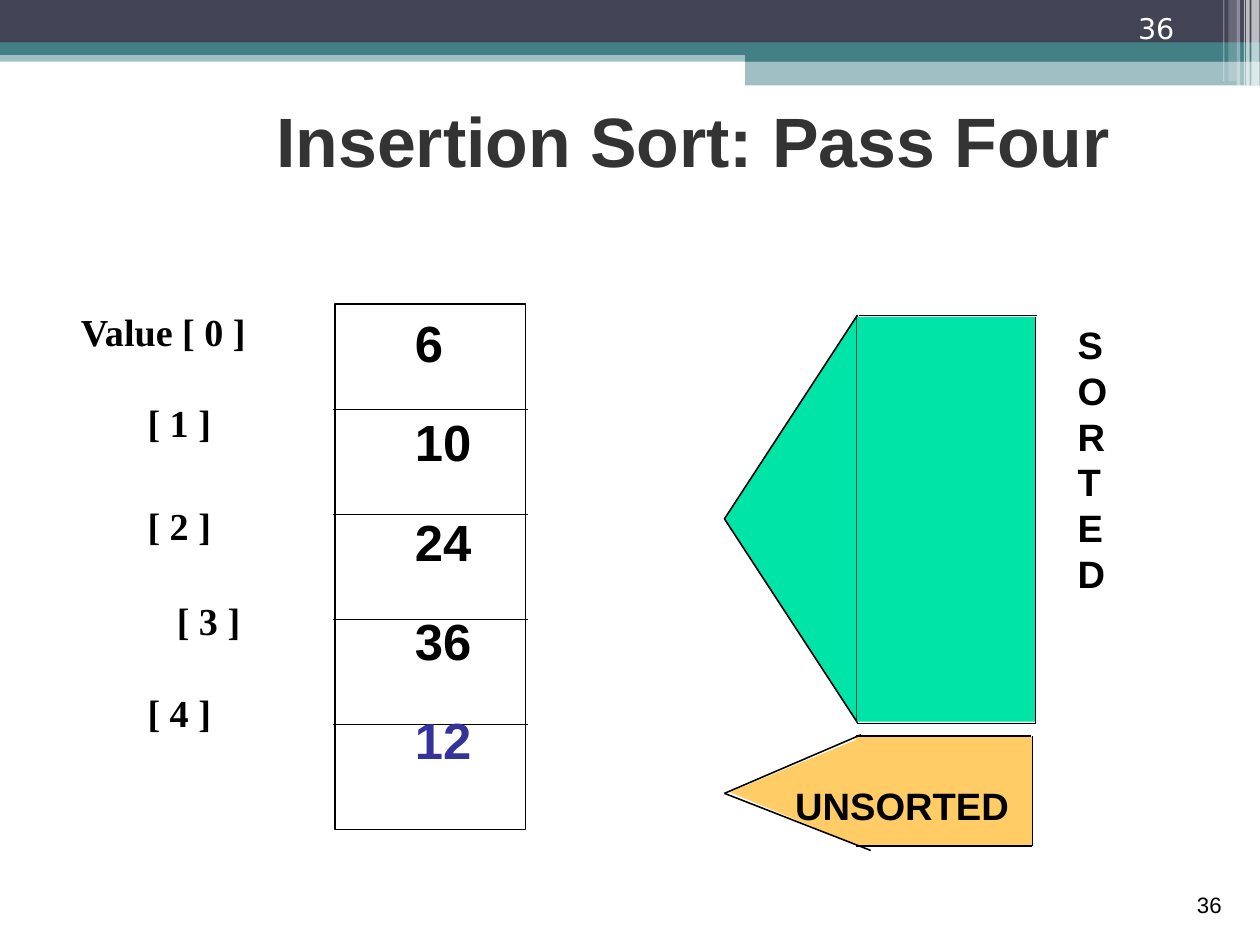
import pptx
import pptx.util
import pptx.dml.color
import pptx.enum.shapes
import pptx.enum.text
import pptx.oxml.ns
import lxml.etree

Cm, Pt = pptx.util.Cm, pptx.util.Pt
SHAPE = pptx.enum.shapes.MSO_SHAPE
ALIGN = pptx.enum.text.PP_ALIGN
ANCHOR = pptx.enum.text.MSO_ANCHOR
qn = pptx.oxml.ns.qn

THEME = {
    "ink": "000000", "title": "333333", "key": "333399", "white": "FFFFFF",
    "navy": "424456", "teal": "438086", "sorted": "00E4A8", "unsorted": "FFCC66",
    "sans": "Arial", "serif": "Times New Roman", "badge": "DejaVu Sans",
    "title_size": 44, "value_size": 32, "label_size": 24, "badge_size": 18,
    "number_size": 14, "line": 1, "leading": 1.2,
}

# Content: lengths in centimetres
TITLE = "Insertion Sort: Pass Four"
SLIDE_NUMBER = "36"
VALUES = ["6", "10", "24", "36", "12"]
KEY_INDEX = 4
# label, left indent (cm), space before (pt)
INDEX_LABELS = [
    ("Value [ 0 ]", 0, 0), ("[ 1 ]", 1.48, 28.8), ("[ 2 ]", 1.48, 36),
    ("[ 3 ]", 2.13, 31.2), ("[ 4 ]", 1.48, 28.8),
]
# left, top, width, height, colour, opacity in percent
HEADER_BANDS = [
    (0, 1.12, 28, 0.25, "teal", 50), (0, 0, 28, 0.97, "navy", 100),
    (0, 0.94, 28, 0.28, "teal", 100), (16.56, 1.09, 11.44, 0.28, "teal", 100),
    (16.56, 1.35, 11.44, 0.55, "teal", 50),
]
# left, width, height, opacity in percent
HEADER_STRIPES = [
    (27.81, 0.18, 1.9, 65), (27.69, 0.08, 1.9, 65), (27.64, 0.03, 1.9, 60),
    (27.48, 0.08, 1.9, 40), (27.3, 0.18, 1.8, 20), (27.18, 0.03, 1.8, 30),
]
ARRAY = (7.44, 6.76, 4.24, 11.68)
DIVIDER_OVERHANG = 0.05
ARROWS = [
    {"colour": "sorted", "outlined": True,
     "head": (16.1, 7.01, 2.95, 9.04), "body": (19.05, 7.04, 3.96, 9),
     "edges": [(19.05, 16.08, 23.01, 16.08), (19.08, 7.01, 23.04, 7.01),
               (23.01, 16.08, 23.01, 7.04)]},
    {"colour": "unsorted", "outlined": False,
     "head": (16.22, 16.4, 2.9, 2.41), "body": (19.02, 16.38, 3.91, 2.41),
     "edges": [(19.02, 16.36, 22.92, 16.36), (19.02, 18.8, 22.94, 18.8),
               (22.94, 16.36, 22.94, 18.8), (16.1, 17.63, 19.13, 16.33),
               (16.1, 17.63, 19.35, 18.9)]},
]


def rgb(name):
    return pptx.dml.color.RGBColor.from_string(THEME[name])


def add_block(slide, kind, box, fill=None, opacity=100, outlined=False):
    block = slide.shapes.add_shape(kind, *map(Cm, box))
    block.shadow.inherit = False
    if fill:
        block.fill.solid()
        block.fill.fore_color.rgb = rgb(fill)
        if opacity < 100:
            colour = block.fill._xPr.find(".//" + qn("a:srgbClr"))
            lxml.etree.SubElement(colour, qn("a:alpha")).set("val", str(opacity * 1000))
    else:
        block.fill.background()
    if outlined:
        block.line.color.rgb = rgb("ink")
        block.line.width = Pt(THEME["line"])
    else:
        block.line.fill.background()
    return block


def add_left_wedge(slide, box, fill, outlined):
    """Add a triangle pointing left that fills the visible box."""
    left, top, width, height = box
    turned = (left + (width - height) / 2, top + (height - width) / 2, height, width)
    wedge = add_block(slide, SHAPE.ISOSCELES_TRIANGLE, turned, fill, outlined=outlined)
    wedge.rotation = 270


def add_edge(slide, x1, y1, x2, y2):
    edge = slide.shapes.add_connector(
        pptx.enum.shapes.MSO_CONNECTOR.STRAIGHT, Cm(x1), Cm(y1), Cm(x2), Cm(y2))
    edge.line.color.rgb = rgb("ink")
    edge.line.width = Pt(THEME["line"])
    lxml.etree.SubElement(edge._element.spPr, qn("a:effectLst"))


def add_text(slide, box, lines, size, colour="ink", font="sans", bold=True,
             align=ALIGN.LEFT, anchor=ANCHOR.TOP, wrap=True):
    """Add a text box; each line is a (text, options) pair."""
    frame = slide.shapes.add_textbox(*map(Cm, box)).text_frame
    frame.word_wrap = wrap
    frame.vertical_anchor = anchor
    for position, (text, options) in enumerate(lines):
        paragraph = frame.add_paragraph() if position else frame.paragraphs[0]
        paragraph.alignment = align
        if len(lines) > 1:
            paragraph.line_spacing = Pt(THEME[size] * THEME["leading"])
        if options.get("before"):
            paragraph.space_before = Pt(options["before"])
        if options.get("indent"):
            paragraph._p.get_or_add_pPr().set("marL", str(Cm(options["indent"])))
        run = paragraph.add_run()
        run.text = text
        run.font.name = THEME[font]
        run.font.size = Pt(THEME[size])
        run.font.bold = bold
        run.font.color.rgb = rgb(options.get("colour", colour))


def add_header(slide):
    for *box, colour, opacity in HEADER_BANDS:
        add_block(slide, SHAPE.RECTANGLE, box, colour, opacity)
    for left, width, height, opacity in HEADER_STRIPES:
        add_block(slide, SHAPE.RECTANGLE, (left, 0, width, height), "white", opacity)


def add_array(slide):
    left, top, width, height = ARRAY
    add_block(slide, SHAPE.RECTANGLE, ARRAY, outlined=True)
    for row in range(1, len(VALUES)):
        y = top + row * height / len(VALUES)
        add_edge(slide, left - DIVIDER_OVERHANG, y, left + width + DIVIDER_OVERHANG, y)


def main():
    deck = pptx.Presentation()
    deck.slide_width, deck.slide_height = Cm(28), Cm(21)
    slide = deck.slides.add_slide(deck.slide_layouts[6])

    add_header(slide)
    add_text(slide, (21.56, 19.13, 5.84, 1.4), [(SLIDE_NUMBER, {})], "number_size",
             bold=False, align=ALIGN.RIGHT, anchor=ANCHOR.BOTTOM)
    add_text(slide, (3.9, 0.66, 23.04, 3.5), [(TITLE, {})], "title_size", "title",
             align=ALIGN.CENTER, anchor=ANCHOR.BOTTOM)
    labels = [(label, {"indent": indent, "before": before})
              for label, indent, before in INDEX_LABELS]
    add_text(slide, (1.55, 4.95, 6.81, 11.51), labels, "label_size", font="serif",
             anchor=ANCHOR.BOTTOM)

    add_array(slide)
    add_text(slide, (23.7, 7.02, 1.17, 6.35), [(letter, {}) for letter in "SORTED"],
             "label_size", wrap=False)
    for arrow in ARROWS:
        add_left_wedge(slide, arrow["head"], arrow["colour"], arrow["outlined"])
        add_block(slide, SHAPE.RECTANGLE, arrow["body"], arrow["colour"])
        for edge in arrow["edges"]:
            add_edge(slide, *edge)
    add_text(slide, (17.42, 17.27, 5.26, 1.27), [("UNSORTED", {})], "label_size", wrap=False)

    values = [(value, {"before": 24 if row else 0,
                       "colour": "key" if row == KEY_INDEX else "ink"})
              for row, value in enumerate(VALUES)]
    add_text(slide, (8.97, 6.81, 1.78, 10.41), values, "value_size", wrap=False)
    add_text(slide, (25.04, 0, 2.34, 1.12), [(SLIDE_NUMBER, {})], "badge_size", "white",
             font="badge", bold=False, anchor=ANCHOR.BOTTOM)

    deck.save("out.pptx")


if __name__ == "__main__":
    main()
